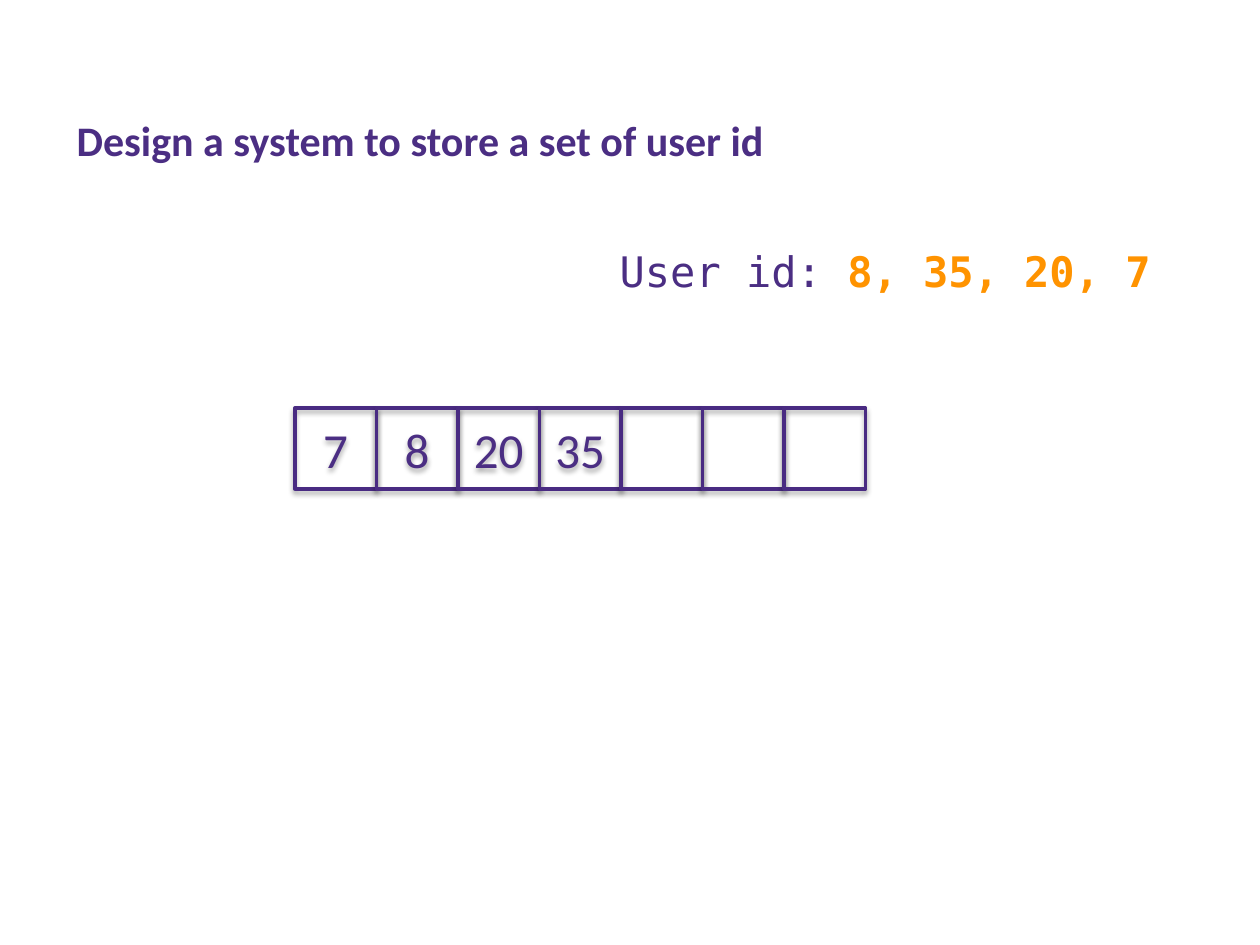
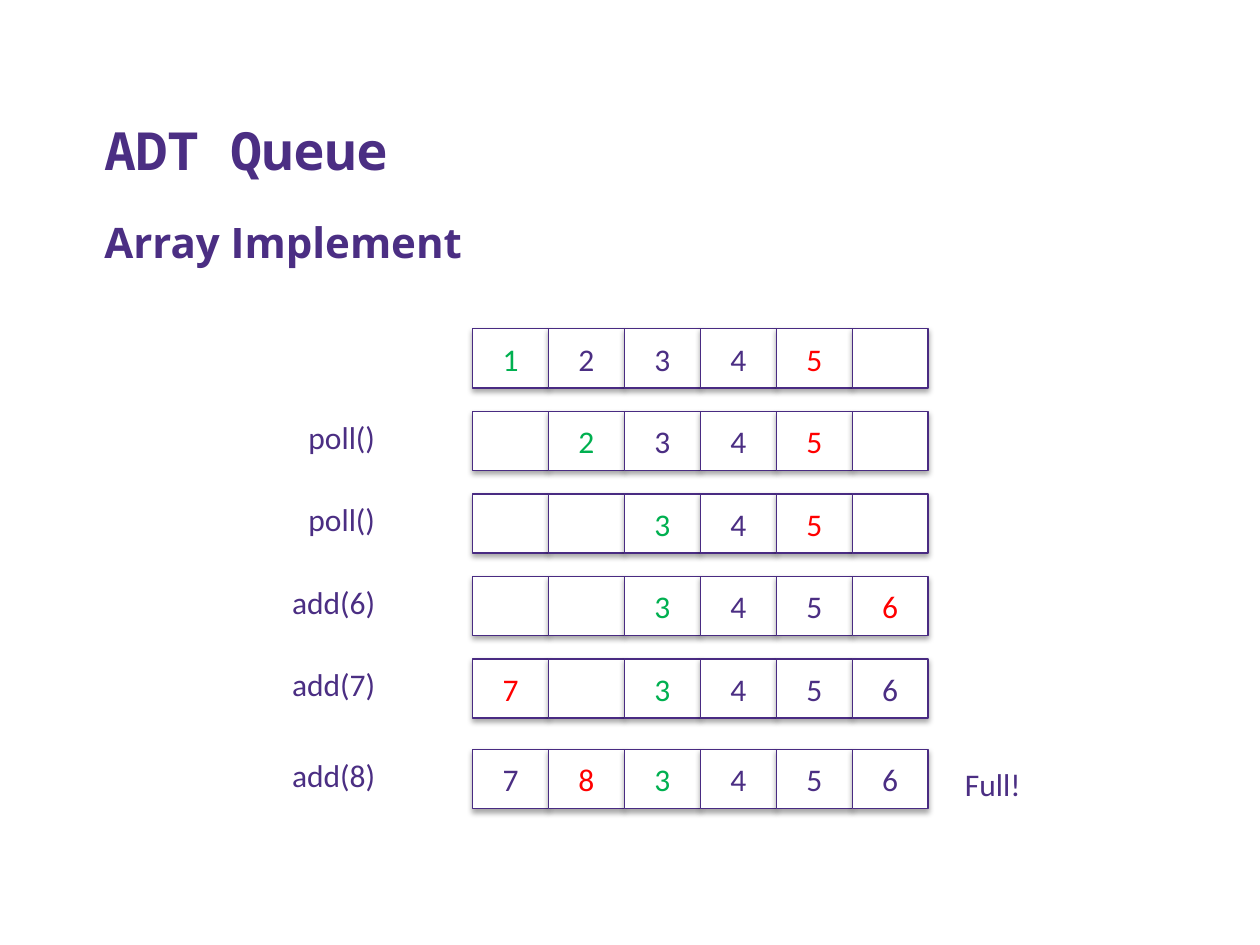
import pptx
import pptx.dml.color
import pptx.enum.shapes
import pptx.enum.text
import pptx.oxml
import pptx.oxml.ns
import pptx.util

Pt = pptx.util.Pt
ANCHOR = pptx.enum.text.MSO_ANCHOR
ALIGN = pptx.enum.text.PP_ALIGN

COLORS = {
    "text": "4B2E83",
    "line": "492B82",
    "white": "FFFFFF",
    "ids": "FF9300",
    "head": "00B050",
    "tail": "FF0000",
}
BODY_FONT = "Calibri"
SHADOW = (
    f'<a:outerShdw {pptx.oxml.ns.nsdecls("a")} blurRad="40000" dist="23000" '
    'dir="5400000" rotWithShape="0"><a:srgbClr val="000000">'
    '<a:alpha val="35000"/></a:srgbClr></a:outerShdw>'
)


def rgb(name):
    return pptx.dml.color.RGBColor.from_string(COLORS[name])


def format_font(font, size, color="text", name=BODY_FONT, bold=False):
    font.size = Pt(size)
    font.name = name
    font.bold = bold
    font.color.rgb = rgb(color)


def add_text(slide, text, left, top, width, height, size, name=BODY_FONT,
             bold=False, wrap=False, anchor=ANCHOR.TOP):
    box = slide.shapes.add_textbox(Pt(left), Pt(top), Pt(width), Pt(height))
    text_frame = box.text_frame
    text_frame.word_wrap = wrap
    text_frame.vertical_anchor = anchor
    text_frame.text = text
    paragraph = text_frame.paragraphs[0]
    format_font(paragraph.runs[0].font, size, name=name, bold=bold)
    return paragraph


def add_cell(slide, text, left, top, width, height, size, line_width,
             color="text", filled=True):
    shape = slide.shapes.add_shape(
        pptx.enum.shapes.MSO_SHAPE.RECTANGLE,
        Pt(left), Pt(top), Pt(width), Pt(height))
    if filled:
        shape.fill.solid()
        shape.fill.fore_color.rgb = rgb("white")
    else:
        shape.fill.background()
    shape.line.color.rgb = rgb("line")
    shape.line.width = Pt(line_width)
    shape.shadow.inherit = False
    effects = shape._element.spPr.find(pptx.oxml.ns.qn("a:effectLst"))
    effects.append(pptx.oxml.parse_xml(SHADOW))
    if text:
        shape.text_frame.text = text
        shape.text_frame.vertical_anchor = ANCHOR.MIDDLE
        paragraph = shape.text_frame.paragraphs[0]
        paragraph.alignment = ALIGN.CENTER
        format_font(paragraph.runs[0].font, size, color)


def add_array(slide, values, left, top, width, height, size, line_width,
              head=None, tail=None, filled=True):
    colors = {head: "head", tail: "tail"}
    for index, value in enumerate(values):
        add_cell(slide, value, left + index * width, top, width, height, size,
                 line_width, colors.get(value, "text"), filled)


def build_user_id_slide(slide):
    add_text(slide, "Design a system to store a set of user id",
             36.72, 61.92, 411.12, 36, 24, bold=True)
    add_array(slide, ["7", "8", "20", "35", "", "", ""],
              168.48, 233.28, 46.6, 46.08, 28, 2, filled=False)
    paragraph = add_text(slide, "User id: ", 347.04, 136.8, 319.68, 36, 24,
                         name="DejaVu Sans Mono")
    ids = paragraph.add_run()
    ids.text = "8, 35, 20, 7"
    format_font(ids.font, 24, "ids", "DejaVu Sans Mono", True)


def build_queue_slide(slide):
    add_text(slide, "Array Implement", 52.56, 120, 659.52, 40, 24,
             name="Open Sans", bold=True, wrap=True)
    add_text(slide, "ADT Queue", 52.56, 29.52, 644.4, 77.76, 30,
             name="Noto Sans Mono", bold=True, wrap=True,
             anchor=ANCHOR.BOTTOM)

    first_top, row_step, last_row_gap, label_right = 187.92, 47.16, 4.68, 222.48
    label_widths = {"poll": 53.28, "add": 62.64}
    steps = [
        ("", ["1", "2", "3", "4", "5", ""], "1", "5"),
        ("poll()", ["", "2", "3", "4", "5", ""], "2", "5"),
        ("poll()", ["", "", "3", "4", "5", ""], "3", "5"),
        ("add(6)", ["", "", "3", "4", "5", "6"], "3", "6"),
        ("add(7)", ["7", "", "3", "4", "5", "6"], "3", "7"),
        ("add(8)", ["7", "8", "3", "4", "5", "6"], "3", "8"),
    ]
    for row, (call, values, head, tail) in enumerate(steps):
        top = first_top + row * row_step
        if row == len(steps) - 1:
            top += last_row_gap
        if call:
            width = label_widths[call.split("(")[0]]
            add_text(slide, call, label_right - width, top, width, 28.8, 18)
        add_array(slide, values, 270, top, 43.4, 33.84, 18, 0.75, head, tail)
    add_text(slide, "Full!", 544.32, 433.44, 46.8, 28.8, 18)


def main():
    presentation = pptx.Presentation()
    presentation.slide_width = Pt(720)
    presentation.slide_height = Pt(540)
    blank = presentation.slide_layouts[6]
    for build in (build_user_id_slide, build_queue_slide):
        build(presentation.slides.add_slide(blank))
    presentation.save("out.pptx")


if __name__ == "__main__":
    main()
